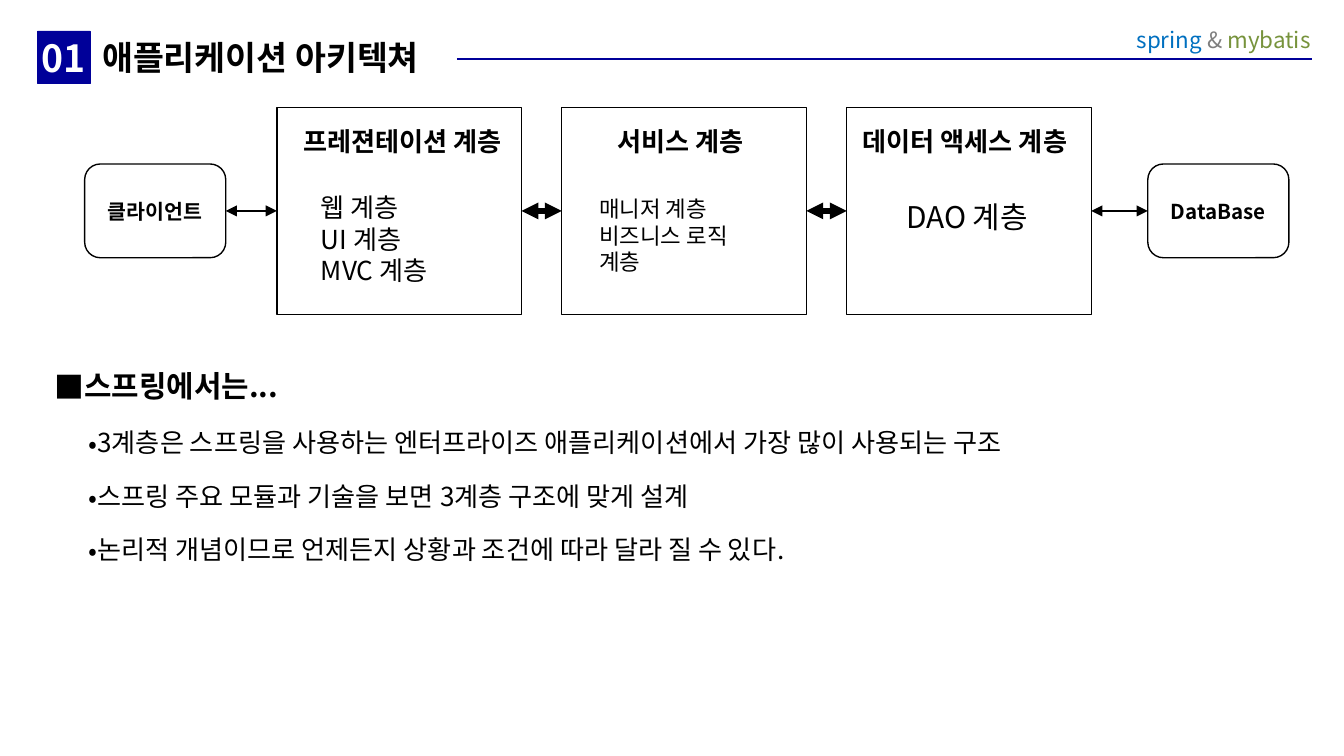
from lxml.etree import SubElement
from pptx import Presentation
from pptx.dml.color import RGBColor
from pptx.enum.shapes import MSO_CONNECTOR as Line, MSO_SHAPE as Shape
from pptx.enum.text import MSO_ANCHOR as Anchor, PP_ALIGN as Align
from pptx.oxml.ns import qn
from pptx.util import Inches, Pt

FONT = "Noto Sans CJK KR"
COLORS = {"navy": "000099", "black": "000000", "white": "FFFFFF",
          "blue": "0070C0", "gray": "7F7F7F", "green": "77933C"}

deck = Presentation()
deck.slide_width, deck.slide_height = Pt(720), Pt(405)
col, row = deck.slide_width / 100, deck.slide_height / 100
slide = deck.slides.add_slide(deck.slide_layouts[5])
shapes = slide.shapes


def area(left, top, width, height):
    return int(left * col), int(top * row), int(width * col), int(height * row)


def write(holder, text, size, bold=False, align=Align.LEFT, color="black",
          insets=(0.1, 0.05, 0.1, 0.05), anchor=Anchor.TOP, wrap=True):
    frame = holder.text_frame
    if text:
        frame.text = text
    frame.word_wrap = wrap
    frame.vertical_anchor = anchor
    (frame.margin_left, frame.margin_top,
     frame.margin_right, frame.margin_bottom) = map(Inches, insets)
    for paragraph in frame.paragraphs:
        paragraph.alignment = align
        for run in paragraph.runs:
            run.font.size, run.font.bold, run.font.name = Pt(size), bold, FONT
            run.font.color.rgb = RGBColor.from_string(COLORS[color])
            run.font._element.set("kern", "0")
            SubElement(run.font._element, qn("a:ea"), typeface=FONT)


title = shapes.title
title.left, title.top, title.width, title.height = area(6.8, 4.1, 27.2, 6.9)
title.fill.solid()
title.fill.fore_color.rgb = RGBColor.from_string(COLORS["white"])
write(title, "애플리케이션 아키텍쳐", 18, True, insets=(0.08, 0.04, 0, 0.04))

number = shapes.add_shape(Shape.RECTANGLE, *area(2.8, 4.1, 3.9, 6.9))
number.shadow.inherit = False
number.fill.solid()
number.fill.fore_color.rgb = RGBColor.from_string(COLORS["navy"])
number.line.color.rgb = RGBColor.from_string(COLORS["navy"])
number.line.width = Pt(0.25)
write(number, "01", 20, True, Align.CENTER, "white", (0, 0, 0, 0), Anchor.MIDDLE)

course = shapes.add_textbox(*area(83.1, 2, 15.4, 9.9))
course_words = [("spring ", "blue"), ("& ", "gray"), ("mybatis", "green")]
course_line = course.text_frame.paragraphs[0]
for word, color in course_words:
    course_line.add_run().text = word
write(course, "", 12, align=Align.RIGHT, insets=(0.1, 0.08, 0.1, 0.08))
for run, (word, color) in zip(course_line.runs, course_words):
    run.font.color.rgb = RGBColor.from_string(COLORS[color])

boxes = []
for kind, left, top, width, height, label in [
    (Shape.ROUNDED_RECTANGLE, 6.3, 21.7, 10.5, 12.4, "클라이언트"),
    (Shape.RECTANGLE, 20.6, 14.2, 18.2, 27.4, ""),
    (Shape.RECTANGLE, 41.8, 14.2, 18.2, 27.4, ""),
    (Shape.RECTANGLE, 63, 14.2, 18.2, 27.4, ""),
    (Shape.ROUNDED_RECTANGLE, 85.4, 21.7, 10.5, 12.4, "DataBase"),
]:
    box = shapes.add_shape(kind, *area(left, top, width, height))
    box.shadow.inherit = False
    box.fill.background()
    box.line.color.rgb = RGBColor.from_string(COLORS["black"])
    box.line.width = Pt(0.75)
    if label:
        write(box, label, 11, True, Align.CENTER, insets=(0, 0, 0, 0), anchor=Anchor.MIDDLE)
    boxes.append(box)

for heading, left, width in [("프레젼테이션 계층", 21.5, 16.9),
                             ("서비스 계층", 44.9, 11.5),
                             ("데이터 액세스 계층", 63.1, 17.4)]:
    layer_heading = shapes.add_textbox(*area(left, 15.7, width, 6))
    write(layer_heading, heading, 14, True, Align.CENTER, wrap=False)

for parts, place, size, align, wrap in [
    ("웹 계층\nUI 계층\nMVC 계층", (22.9, 24.5, 10.7, 14.2), 14, Align.LEFT, False),
    ("매니저 계층\n비즈니스 로직 계층", (43.6, 24.9, 14, 8.9), 12, Align.LEFT, True),
    ("DAO 계층", (66, 25.4, 11.9, 6.6), 16, Align.CENTER, False),
]:
    layer_parts = shapes.add_textbox(*area(*place))
    write(layer_parts, parts, size, align=align, wrap=wrap)

rule = shapes.add_connector(Line.STRAIGHT, int(34 * col), int(7.8 * row),
                            int(97.6 * col), int(7.8 * row))
rule.line.color.rgb = RGBColor.from_string(COLORS["navy"])
rule.line.width = Pt(1.5)
SubElement(rule._element.spPr, qn("a:effectLst"))

for source, target, weight in zip(boxes, boxes[1:], [1.5, 3, 3, 1.5]):
    arrow = shapes.add_connector(Line.STRAIGHT, 0, 0, 0, 0)
    arrow.begin_connect(source, 3)
    arrow.end_connect(target, 1)
    arrow.line.color.rgb = RGBColor.from_string(COLORS["black"])
    arrow.line.width = Pt(weight)
    for end in ("a:headEnd", "a:tailEnd"):
        SubElement(arrow.line._get_or_add_ln(), qn(end), type="triangle")
    SubElement(arrow._element.spPr, qn("a:effectLst"))

summary = shapes.add_textbox(*area(3.1, 47.8, 86.2, 36.4))
write(summary, "\n".join([
    "스프링에서는...",
    "3계층은 스프링을 사용하는 엔터프라이즈 애플리케이션에서 가장 많이 사용되는 구조",
    "스프링 주요 모듈과 기술을 보면 3계층 구조에 맞게 설계",
    "논리적 개념이므로 언제든지 상황과 조건에 따라 달라 질 수 있다.",
]), 14)
for index, paragraph in enumerate(summary.text_frame.paragraphs):
    bullet, margin, indent, gap = ("•", 0.29, -0.04, 12) if index else ("■", 0.2, -0.2, 4)
    paragraph.level = min(index, 1)
    paragraph.space_before = Pt(gap)
    properties = paragraph._p.get_or_add_pPr()
    properties.set("marL", str(Inches(margin)))
    properties.set("indent", str(Inches(indent)))
    bullet_color = SubElement(properties, qn("a:buClr"))
    SubElement(bullet_color, qn("a:srgbClr"), val=COLORS["black"])
    SubElement(properties, qn("a:buFont"), typeface=FONT)
    SubElement(properties, qn("a:buChar"), char=bullet)
summary_heading = summary.text_frame.paragraphs[0].runs[0]
summary_heading.font.size, summary_heading.font.bold = Pt(16), True

deck.save("out.pptx")
